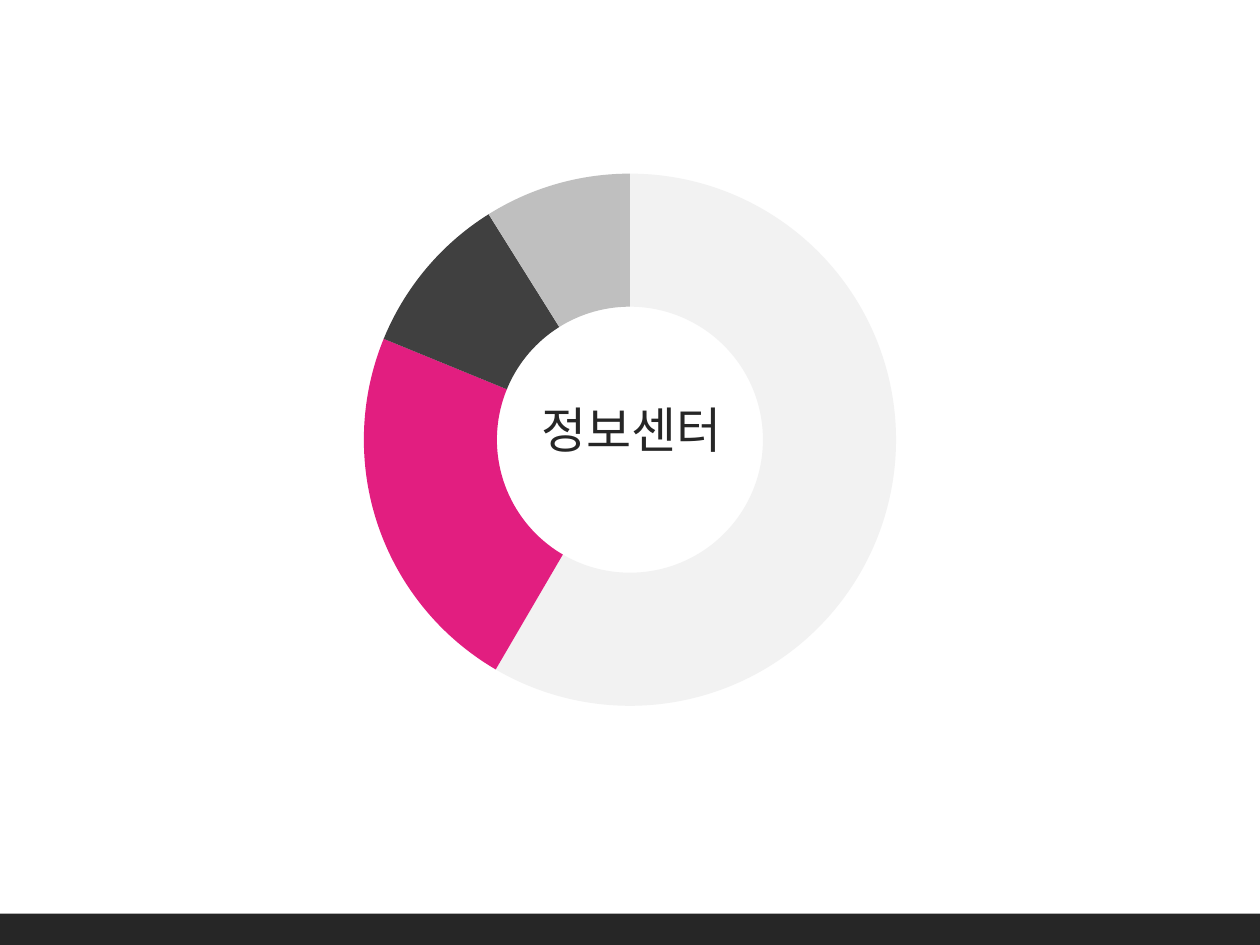
from lxml import etree
from pptx import Presentation
from pptx.chart.data import CategoryChartData
from pptx.dml.color import RGBColor
from pptx.enum.chart import XL_CHART_TYPE
from pptx.enum.shapes import MSO_SHAPE
from pptx.enum.text import MSO_AUTO_SIZE, PP_ALIGN
from pptx.oxml.ns import qn
from pptx.util import Cm, Pt

DOUGHNUT = XL_CHART_TYPE.DOUGHNUT
RECTANGLE = MSO_SHAPE.RECTANGLE
FIT_SHAPE = MSO_AUTO_SIZE.SHAPE_TO_FIT_TEXT
CENTER = PP_ALIGN.CENTER

LATIN_FONT = "Montserrat"
KOREAN_FONT = "Noto Sans CJK KR"
DARK = "262626"
SLIDE_WIDTH, SLIDE_HEIGHT = 25.4, 19.05
FOOTER_HEIGHT = 0.63
HOLE_PERCENT = 78
SLICES = [(59, "F2F2F2"), (23, "E21E80"), (10, "404040"), (9, "BFBFBF")]


def color(hex_text):
    return RGBColor.from_string(hex_text)


def paint(part, hex_text):
    """Fill a shape or chart point with one colour and no outline."""
    part.fill.solid()
    part.fill.fore_color.rgb = color(hex_text)
    part.line.fill.background()


def add_doughnut(page, left, top, width, height):
    data = CategoryChartData()
    data.categories = [str(number) for number in range(1, len(SLICES) + 1)]
    data.add_series("Series 1", [value for value, _ in SLICES])
    frame = page.shapes.add_chart(
        DOUGHNUT, Cm(left), Cm(top), Cm(width), Cm(height), data)
    chart = frame.chart
    chart.has_legend = False
    chart.has_title = False
    chart.font.size = Pt(18)
    chart.font.name = KOREAN_FONT
    chart.font.color.rgb = color("000000")

    plot = chart.plots[0]
    plot.vary_by_categories = True
    for index, (_, hex_text) in enumerate(SLICES):
        paint(plot.series[0].points[index].format, hex_text)

    # Hole size has no public setter
    hole = chart.element.find(".//" + qn("c:holeSize"))
    hole.set("val", str(HOLE_PERCENT))


def add_label(page, text, left, top, width, height):
    box = page.shapes.add_textbox(Cm(left), Cm(top), Cm(width), Cm(height))
    box.text_frame.word_wrap = False
    box.text_frame.auto_size = FIT_SHAPE
    para = box.text_frame.paragraphs[0]
    para.alignment = CENTER
    span = para.add_run()
    span.text = text
    span.font.size = Pt(28)
    span.font.name = LATIN_FONT
    span.font.color.rgb = color(DARK)
    # Typeface for the Korean letters
    etree.SubElement(span.font._element, qn("a:ea"), typeface=KOREAN_FONT)


def add_bar(page, left, top, width, height):
    bar = page.shapes.add_shape(
        RECTANGLE, Cm(left), Cm(top), Cm(width), Cm(height))
    bar.shadow.inherit = False
    paint(bar, DARK)


def main():
    deck = Presentation()
    deck.slide_width = Cm(SLIDE_WIDTH)
    deck.slide_height = Cm(SLIDE_HEIGHT)
    page = deck.slides.add_slide(deck.slide_layouts[6])

    # Ring with its centre label
    add_doughnut(page, 5.36, 3.15, 14.68, 11.43)
    add_label(page, "정보센터", 10.49, 7.92, 4.5, 1.45)

    # Footer band
    add_bar(page, 0, SLIDE_HEIGHT - FOOTER_HEIGHT, SLIDE_WIDTH, FOOTER_HEIGHT)

    deck.save("out.pptx")


if __name__ == "__main__":
    main()
